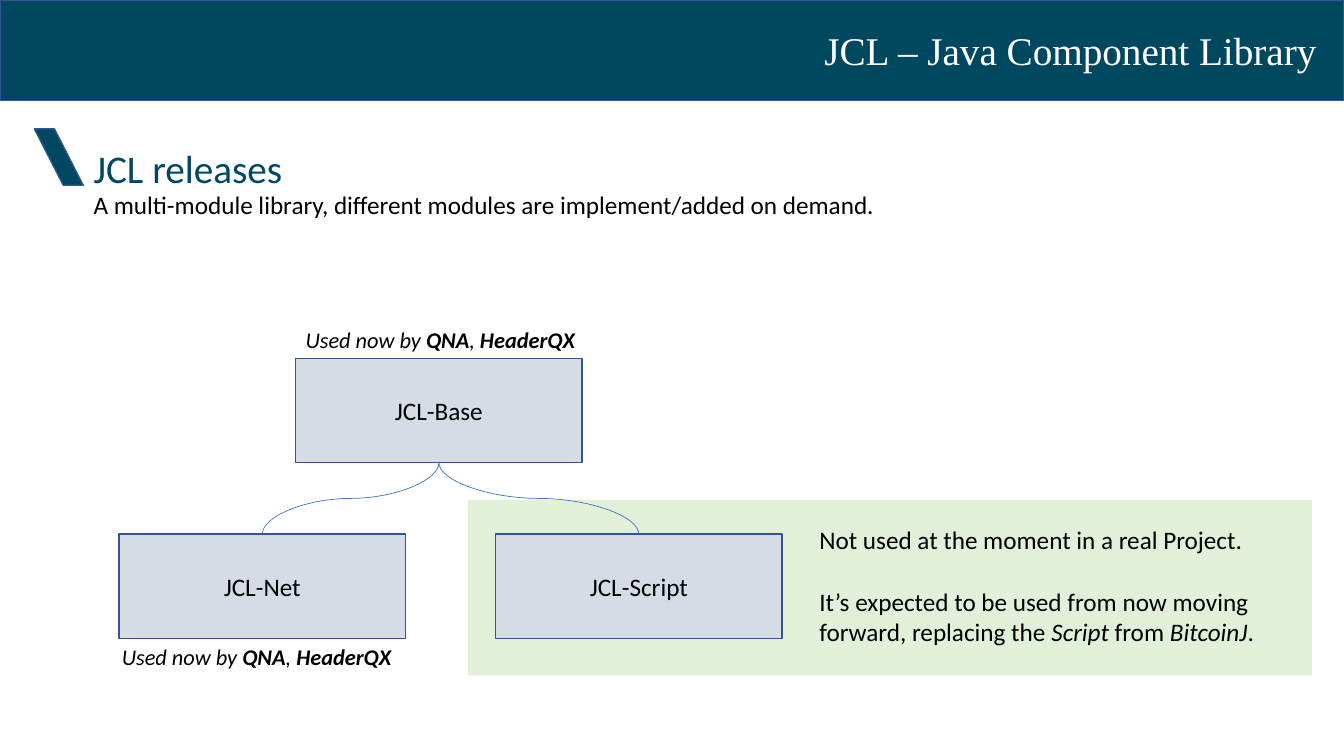
from dataclasses import dataclass

from lxml import etree
from pptx import Presentation
from pptx.dml.color import RGBColor
from pptx.enum.shapes import MSO_CONNECTOR, MSO_SHAPE
from pptx.enum.text import MSO_ANCHOR, MSO_AUTO_SIZE, PP_ALIGN
from pptx.oxml.ns import qn
from pptx.util import Cm, Pt

RECT, SLANT = MSO_SHAPE.RECTANGLE, MSO_SHAPE.PARALLELOGRAM
CURVE = MSO_CONNECTOR.CURVE
LEFT, CENTER, RIGHT = PP_ALIGN.LEFT, PP_ALIGN.CENTER, PP_ALIGN.RIGHT
TOP, MIDDLE = MSO_ANCHOR.TOP, MSO_ANCHOR.MIDDLE
GROW = MSO_AUTO_SIZE.SHAPE_TO_FIT_TEXT
BOTTOM_SITE, TOP_SITE = 2, 0


@dataclass(frozen=True)
class Theme:
    teal: str = "004860"
    edge: str = "325491"
    wire: str = "4472C4"
    box: str = "D6DCE5"
    panel: str = "E2F0D9"
    ink: str = "000000"
    white: str = "FFFFFF"
    serif: str = "Times New Roman"
    sans: str = "Calibri"
    head: int = 28
    body: int = 18
    note: int = 16


@dataclass(frozen=True)
class Area:
    """A place on the slide, in centimetres."""
    x: float
    y: float
    w: float
    h: float

    def emu(self) -> tuple:
        return Cm(self.x), Cm(self.y), Cm(self.w), Cm(self.h)


@dataclass(frozen=True)
class Part:
    """A stretch of text in one style."""
    text: str
    bold: bool = False
    slant: bool = False


@dataclass(frozen=True)
class Label:
    area: Area
    lines: tuple
    size: int
    color: str


@dataclass(frozen=True)
class Module:
    name: str
    x: float
    y: float


THEME = Theme()
WIDE, HIGH = 33.87, 19.05
BOX_W, BOX_H = 7.22, 2.63
NOTE_W, NOTE_H = 8.46, 0.94

BASE = Module("JCL-Base", 7.45, 9.03)
LEAVES = (Module("JCL-Net", 3, 13.46), Module("JCL-Script", 12.49, 13.46))

USED = (Part("Used now by ", slant=True), Part("QNA", True, True),
        Part(", ", slant=True), Part("HeaderQX", True, True))
PLANS = (
    (Part("Not used at the moment in a real Project."),),
    (Part("It’s expected to be used from now moving forward, replacing the "),
     Part("Script ", slant=True), Part("from "),
     Part("BitcoinJ", slant=True), Part(".")),
)
LABELS = (
    Label(Area(2.11, 4.65, 30.1, 1.02),
          ((Part("A multi-module library, different modules are "
                 "implement/added on demand."),),), THEME.body, THEME.ink),
    Label(Area(2.82, 16.08, NOTE_W, NOTE_H), (USED,), THEME.note, THEME.ink),
    Label(Area(BASE.x, 8.09, NOTE_W, NOTE_H), (USED,), THEME.note, THEME.ink),
    Label(Area(20.4, 13.1, 12.12, 3.33), PLANS, THEME.body, THEME.ink),
    Label(Area(2.11, 3.5, 21.36, 1.45), ((Part("JCL releases"),),),
          THEME.head, THEME.teal),
)


def style(para, font: str, size: int, color: str, align=LEFT) -> None:
    para.alignment = align
    para.font.name = font
    para.font.size = Pt(size)
    para.font.color.rgb = RGBColor.from_string(color)


def add_block(slide, kind, area: Area, fill: str, edge: str = ""):
    block = slide.shapes.add_shape(kind, *area.emu())
    block.shadow.inherit = False
    block.fill.solid()
    block.fill.fore_color.rgb = RGBColor.from_string(fill)
    if edge:
        block.line.color.rgb = RGBColor.from_string(edge)
        block.line.width = Pt(1)
    else:
        block.line.fill.background()
    return block


def add_module(slide, module: Module):
    box = add_block(slide, RECT, Area(module.x, module.y, BOX_W, BOX_H),
                    THEME.box, THEME.edge)
    frame = box.text_frame
    frame.vertical_anchor = MIDDLE
    frame.text = module.name
    style(frame.paragraphs[0], THEME.sans, THEME.body, THEME.ink, CENTER)
    return box


def add_label(slide, label: Label) -> None:
    frame = slide.shapes.add_textbox(*label.area.emu()).text_frame
    frame.word_wrap = True
    frame.auto_size = GROW
    for i, line in enumerate(label.lines):
        para = frame.add_paragraph() if i else frame.paragraphs[0]
        style(para, THEME.sans, label.size, label.color)
        if i:
            para.space_before = Pt(22)
        for part in line:
            run = para.add_run()
            run.text = part.text
            run.font.bold = part.bold
            run.font.italic = part.slant


def add_wire(slide, upper, lower) -> None:
    """Join two boxes with an S curve that leaves and arrives upright."""
    wire = slide.shapes.add_connector(CURVE, 0, 0, 0, 0)
    wire.begin_connect(upper, BOTTOM_SITE)
    wire.end_connect(lower, TOP_SITE)
    wire.line.color.rgb = RGBColor.from_string(THEME.wire)
    wire.line.width = Pt(0.5)
    # The curve runs sideways by nature, so its frame is a quarter turned
    start = upper.left + upper.width // 2
    end = lower.left + lower.width // 2
    high = upper.top + upper.height
    drop, span = lower.top - high, abs(end - start)
    wire.left = (start + end - drop) // 2
    wire.top = high + (drop - span) // 2
    wire.width, wire.height = drop, span
    props = wire._element.spPr
    xfrm = props.find(qn("a:xfrm"))
    xfrm.set("rot", str((270 if end > start else 90) * 60000))
    xfrm.set("flipH", "1" if end > start else "0")
    xfrm.set("flipV", "0")
    etree.SubElement(props, qn("a:effectLst"))


def add_head(slide) -> None:
    add_block(slide, RECT, Area(0, 0, WIDE, 2.54), THEME.teal, THEME.edge)
    title = slide.shapes.title
    slide.shapes._spTree.append(title._element)  # in front of the band
    title.left, title.top, title.width, title.height = Area(
        11.79, 0.53, 21.64, 1.45).emu()
    frame = title.text_frame
    frame.text = "JCL – Java Component Library"
    frame.word_wrap = True
    frame.auto_size = GROW
    frame.vertical_anchor = TOP
    style(frame.paragraphs[0], THEME.serif, THEME.head, THEME.white, RIGHT)


def main() -> None:
    deck = Presentation()
    deck.slide_width, deck.slide_height = Cm(WIDE), Cm(HIGH)
    slide = deck.slides.add_slide(deck.slide_layouts[5])

    # Panel and title band
    add_block(slide, RECT, Area(11.79, 12.6, 21.27, 4.42), THEME.panel)
    add_head(slide)

    # Module tree
    base = add_module(slide, BASE)
    leaves = [add_module(slide, leaf) for leaf in LEAVES]
    for leaf in leaves:
        add_wire(slide, base, leaf)

    # Texts
    for label in LABELS:
        add_label(slide, label)

    # Slanted mark beside the heading
    mark = add_block(slide, SLANT, Area(0.87, 3.25, 1.23, 1.42),
                     THEME.teal, THEME.edge)
    mark.adjustments[0] = 0.59
    mark._element.spPr.find(qn("a:xfrm")).set("flipH", "1")

    deck.save("out.pptx")


if __name__ == "__main__":
    main()
